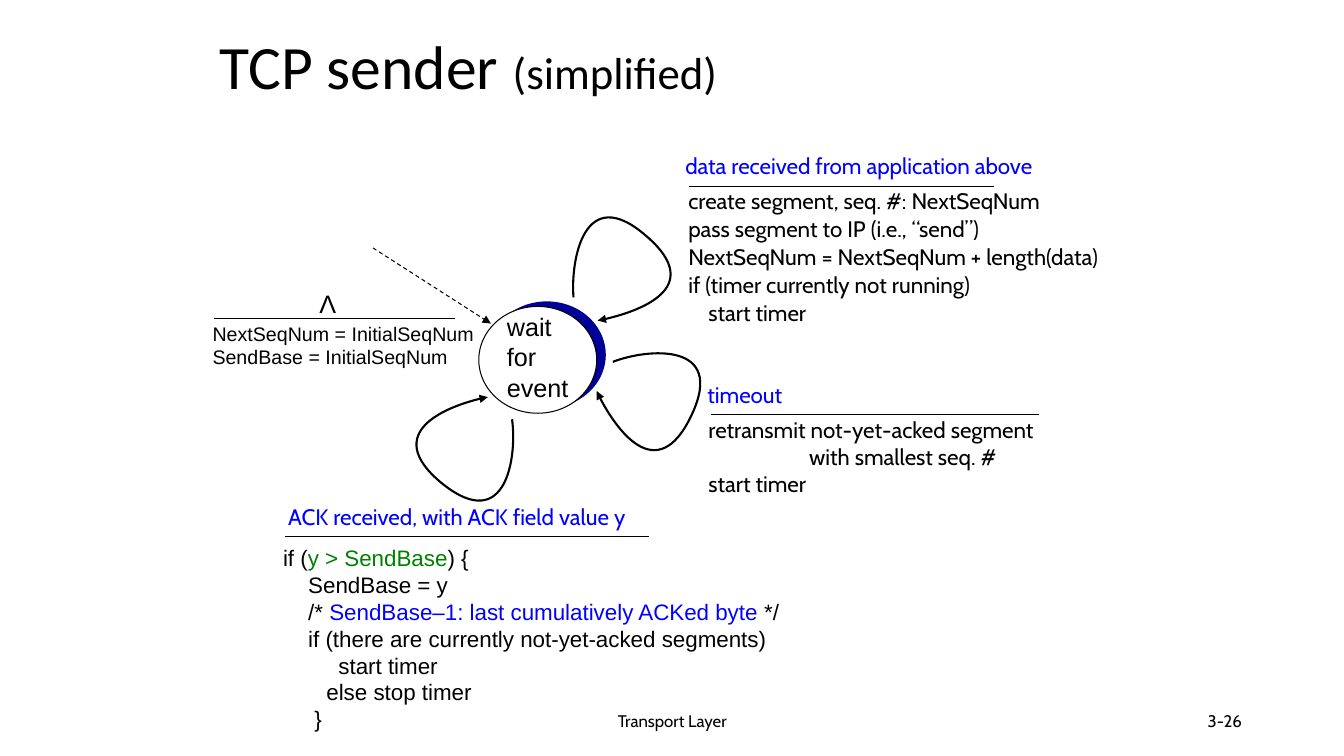
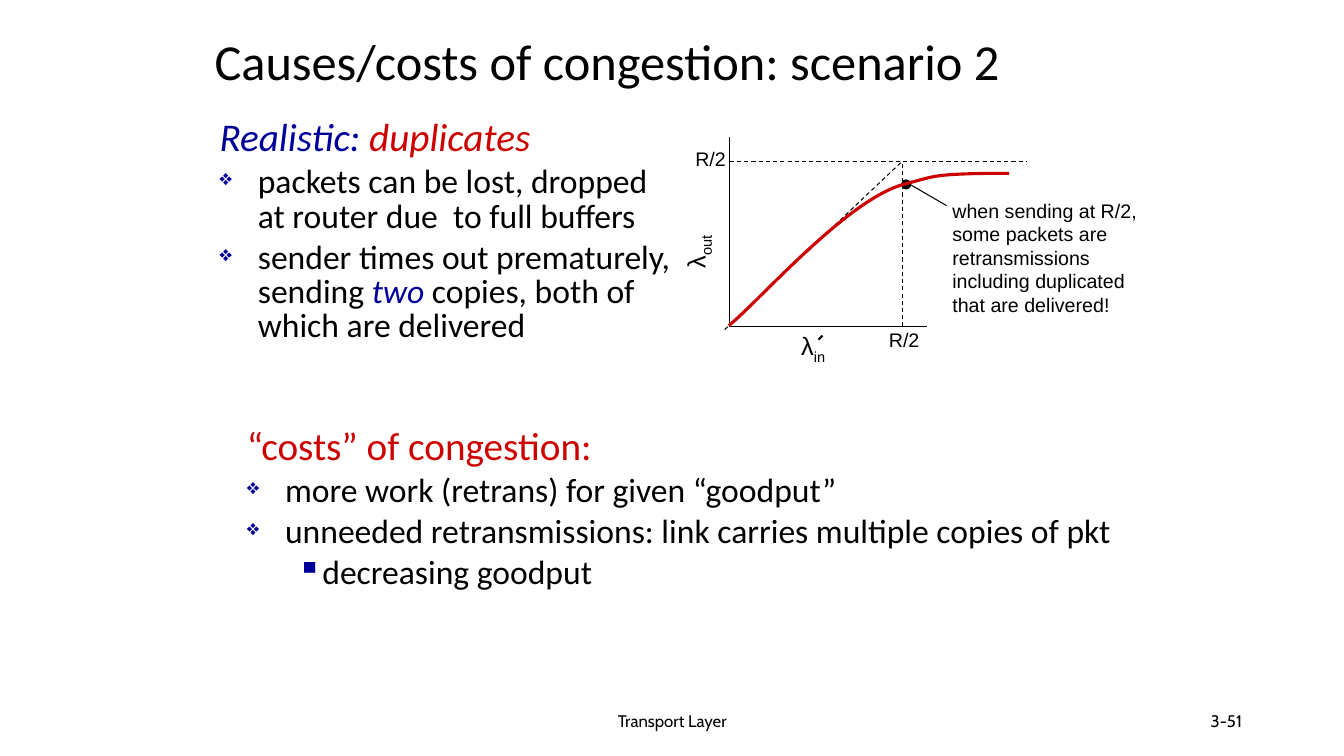
from collections import namedtuple

from lxml import etree
from pptx import Presentation, util as u
from pptx.dml.color import RGBColor
from pptx.enum import dml, shapes, text
from pptx.oxml import ns

COLORS = {"ink": "000000", "paper": "FFFFFF", "navy": "000099",
          "event": "0000FF", "condition": "008000", "alert": "CC0000"}
ALIGN = {"left": text.PP_ALIGN.LEFT, "center": text.PP_ALIGN.CENTER,
         "right": text.PP_ALIGN.RIGHT}
CELL = 0.1  # inches per grid column and row
Para = namedtuple("Para", "runs indent hang bullet", defaults=(0, 0, None))


def grid(cells):
    return u.Inches(cells * CELL)


def color(name):
    return RGBColor.from_string(COLORS[name])


def add_xml(parent, tag, **attributes):
    return etree.SubElement(parent, ns.qn(tag), attributes)


def write(paragraph, words, size=16, font="Arial", ink="ink", italic=False,
          subscript=False):
    run = paragraph.add_run()
    run.text = words
    run.font.size = u.Pt(size)
    run.font.name = font
    run.font.italic = italic
    run.font.color.rgb = color(ink)
    if subscript:
        run.font._element.set("baseline", "-25000")


def set_bullet(paragraph, mark, percent):
    properties = paragraph._p.get_or_add_pPr()
    add_xml(add_xml(properties, "a:buClr"), "a:srgbClr", val=COLORS["navy"])
    add_xml(properties, "a:buSzPct", val=str(percent * 1000))
    add_xml(properties, "a:buChar", char=mark)


class Deck:
    """Holds the shared style and the slide being drawn; lengths are grid cells."""

    def __init__(self):
        self.prs = Presentation()
        self.prs.slide_width, self.prs.slide_height = grid(133.33), grid(75)
        self.slide = None

    def new_slide(self, number):
        self.slide = self.prs.slides.add_slide(self.prs.slide_layouts[6])
        footer = dict(size=12, font="Cabin", middle=True, wrap=True)
        self.text((44.2, 69.5, 45, 4), ["Transport Layer"], align="center", **footer)
        self.text((94.2, 69.5, 30, 4), [number], align="right", **footer)

    def title(self, at, *runs, size):
        self.text(at, [Para(runs)], size=size, font="Calibri", middle=True,
                  wrap=True, spacing=0.9)

    def text(self, at, paragraphs, align="left", middle=False, wrap=False,
             spacing=None, space_before=None, turn=0, **style):
        """Paragraphs are strings or Paras; a run is a string or (string, format)."""
        box = self.slide.shapes.add_textbox(*map(grid, at))
        box.rotation = turn
        frame = box.text_frame
        frame.word_wrap = wrap
        if not wrap:
            frame.auto_size = text.MSO_AUTO_SIZE.SHAPE_TO_FIT_TEXT
        if middle:
            frame.vertical_anchor = text.MSO_ANCHOR.MIDDLE
        for index, entry in enumerate(paragraphs):
            para = Para([entry]) if isinstance(entry, str) else entry
            paragraph = frame.paragraphs[0] if index == 0 else frame.add_paragraph()
            paragraph.alignment = ALIGN[align]
            if spacing:
                paragraph.line_spacing = spacing
            if space_before:
                paragraph.space_before = u.Pt(space_before)
            if para.indent:
                properties = paragraph._p.get_or_add_pPr()
                properties.set("marL", str(grid(para.indent)))
                properties.set("indent", str(grid(-para.hang)))
            if para.bullet:
                set_bullet(paragraph, *para.bullet)
            for run in para.runs:
                words, extra = (run, {}) if isinstance(run, str) else run
                write(paragraph, words, **{**style, **extra})

    def outline(self, line, ink, width, dashed=False, arrow=False):
        line.color.rgb = color(ink)
        line.width = u.Pt(width)
        if dashed:
            line.dash_style = dml.MSO_LINE.DASH
        if arrow:
            add_xml(line._get_or_add_ln(), "a:tailEnd", type="triangle")

    def line(self, start, end, width=0.75, **style):
        connector = self.slide.shapes.add_connector(
            shapes.MSO_CONNECTOR.STRAIGHT, *map(grid, (*start, *end)))
        self.outline(connector.line, "ink", width, **style)
        add_xml(connector._element.spPr, "a:effectLst")

    def ellipse(self, at, fill, outlined=False):
        oval = self.slide.shapes.add_shape(shapes.MSO_SHAPE.OVAL, *map(grid, at))
        oval.shadow.inherit = False
        oval.fill.solid()
        oval.fill.fore_color.rgb = color(fill)
        if outlined:
            self.outline(oval.line, "ink", 0.75)
        else:
            oval.line.fill.background()

    def curve(self, start, *points, ink="ink", width=1.5, arrow=False):
        """Draw cubic Bezier segments; every three points form one segment."""
        builder = self.slide.shapes.build_freeform(*map(grid, start))
        builder.add_line_segments([tuple(map(grid, p)) for p in points], close=False)
        shape = builder.convert_to_shape()
        shape.shadow.inherit = False
        shape.fill.background()
        self.outline(shape.line, ink, width, arrow=arrow)
        outline = next(shape._element.iter(ns.qn("a:path")))
        steps = outline.findall(ns.qn("a:lnTo"))
        for first in range(0, len(steps), 3):
            segment = add_xml(outline, "a:cubicBezTo")
            for step in steps[first:first + 3]:
                segment.append(step[0])
                outline.remove(step)

    def event(self, heading, rule, heading_box, actions, actions_box, **style):
        """Draw an event name, a rule (left, right, row) and the actions below."""
        left, right, row = rule
        self.text(heading_box, [heading], font="Cabin", ink="event")
        self.line((left, row), (right, row))
        self.text(actions_box, actions, **style)


def sender_slide(deck):
    deck.new_slide("3-26")
    deck.title((20.8, 2, 84.6, 9.8), "TCP sender ", ("(simplified)", {"size": 32}),
               size=44)

    state_left, state_top, state_size = 47.5, 30.4, (11.7, 10.6)
    deck.ellipse((state_left + 0.9, state_top - 0.5, *state_size), "navy")
    deck.ellipse((state_left, state_top, *state_size), "paper", outlined=True)
    deck.text((49.3, 30.4, 8.1, 10), ["wait", "for", "event"], size=18)

    deck.line((37, 24.6), (48.7, 32.1), dashed=True, arrow=True)
    deck.text((30.7, 28.1, 3.7, 4), ["Λ"], size=18)
    deck.line((21.2, 31.6), (45.1, 31.6))
    deck.text((20.1, 31.4, 28.1, 5.7),
              ["NextSeqNum = InitialSeqNum", "SendBase = InitialSeqNum"], size=14)

    deck.event("data received from application above", (68.4, 98.6, 18.5),
               (67, 14.6, 38.3, 3.7),
               ["create segment, seq. #: NextSeqNum",
                "pass segment to IP (i.e., “send”)",
                "NextSeqNum = NextSeqNum + length(data)",
                "if (timer currently not running)",
                Para(["start timer"], 2)],
               (67.3, 17.9, 46.2, 15), font="Cabin", spacing=1.05)
    deck.event("timeout", (70.5, 103.1, 41.1), (69.2, 37.3, 9.5, 3.7),
               ["retransmit not-yet-acked segment",
                Para(["with smallest seq. #"], 10),
                "start timer"],
               (69.3, 40.8, 36, 9), font="Cabin", wrap=True)
    deck.event("ACK received, with ACK field value y", (28.3, 64.4, 53.2),
               (27.6, 49.4, 38.2, 3.7),
               [Para(["if (", ("y > SendBase", {"ink": "condition"}), ") {"]),
                Para(["SendBase = y"], 2.5),
                Para(["/* ", ("SendBase–1: last cumulatively ACKed byte ",
                              {"ink": "event"}), "*/"], 2.5),
                Para(["if (there are currently not-yet-acked segments)"], 2.5),
                Para(["start timer"], 5.5),
                Para(["else stop timer"], 4.3),
                Para(["}"], 3.1)],
               (27.1, 53.5, 51.4, 19.7))

    loops = [
        [(56.9, 29.5), (56.6, 25.9), (57.9, 18), (64.1, 23.4),
         (70.3, 28.7), (61.8, 31.4), (59.3, 31.8)],
        [(60.8, 35.9), (64.1, 34.6), (72.1, 33.8), (68.6, 41.2),
         (65.1, 48.6), (60.2, 41.2), (59.2, 38.8)],
        [(50.8, 41.6), (51.3, 45.2), (50.3, 53.1), (43.9, 48),
         (37.5, 42.8), (45.8, 39.8), (48.4, 39.4)],
    ]
    for loop in loops:
        deck.curve(*loop, arrow=True)


def throughput_graph(deck):
    left, bottom, limit, half = 72.4, 32.4, 16, 89.5
    label = dict(size=14)
    deck.line((left, 13.6), (left, bottom))
    deck.line((left, bottom), (92, bottom))
    deck.line((left, limit), (101.8, limit), dashed=True)
    deck.line((71.9, 32.7), (half, limit), dashed=True)
    deck.line((half, bottom), (half, limit), dashed=True)
    deck.text((68, 14.1, 5, 3.3), ["R/2"], **label)
    deck.text((87.2, 32, 5, 3.3), ["R/2"], **label)
    deck.text((65.6, 22.2, 6.8, 4), [Para(["λ", ("out", {"subscript": True})])],
              size=18, wrap=True, turn=270)
    deck.text((78.5, 32.3, 4.7, 4), [Para(["λ", ("in", {"subscript": True})])],
              size=18)
    deck.line((81.2, 33.7), (81.6, 33.3), width=1.5)

    deck.ellipse((89.4, 17.8, 1, 1), "ink")
    deck.line((93.9, 20.4), (89.6, 17.9), arrow=True)
    deck.text((93.5, 19.2, 20.6, 12.8),
              ["when sending at R/2, some packets are retransmissions "
               "including duplicated that are delivered!"], wrap=True, **label)
    deck.curve((72.3, 32.3), (75.2, 30), (83.9, 19.9), (89.6, 18.3),
               (92.7, 17.5), (92.4, 17.3), (97.8, 17.2),
               (100, 17.2), (99.6, 17.2), (100.1, 17.2), ink="alert", width=2.25)


def congestion_slide(deck):
    deck.new_slide("3-51")
    deck.title((20.3, 1.6, 85, 9.5), "Causes/costs of congestion: scenario 2", size=36)
    throughput_graph(deck)

    def point(*runs):
        return Para(runs, 3.8, 3.8, ("❖", 65))

    body = dict(size=24, font="Calibri", wrap=True, spacing=0.85, space_before=4.8)
    navy_italic = {"ink": "navy", "italic": True}
    deck.text((20.8, 11.4, 47.1, 21),
              [Para([("Realistic: ", {**navy_italic, "size": 28}),
                     ("duplicates", {"ink": "alert", "italic": True, "size": 28})]),
               point("packets can be lost, dropped at router due  to full buffers"),
               point("sender times out prematurely, sending ", ("two ", navy_italic),
                     "copies, both of which are delivered")], **body)
    deck.text((23.5, 42, 89.1, 10.8),
              [Para([("“costs” of congestion:", {"ink": "alert", "size": 28})]),
               point("more work (retrans) for given “goodput”"),
               point("unneeded retransmissions: link carries multiple copies of pkt"),
               Para(["decreasing goodput"], 7.5, 2.5, ("▪", 100))], **body)


def main():
    deck = Deck()
    sender_slide(deck)
    congestion_slide(deck)
    deck.prs.save("out.pptx")


if __name__ == "__main__":
    main()
